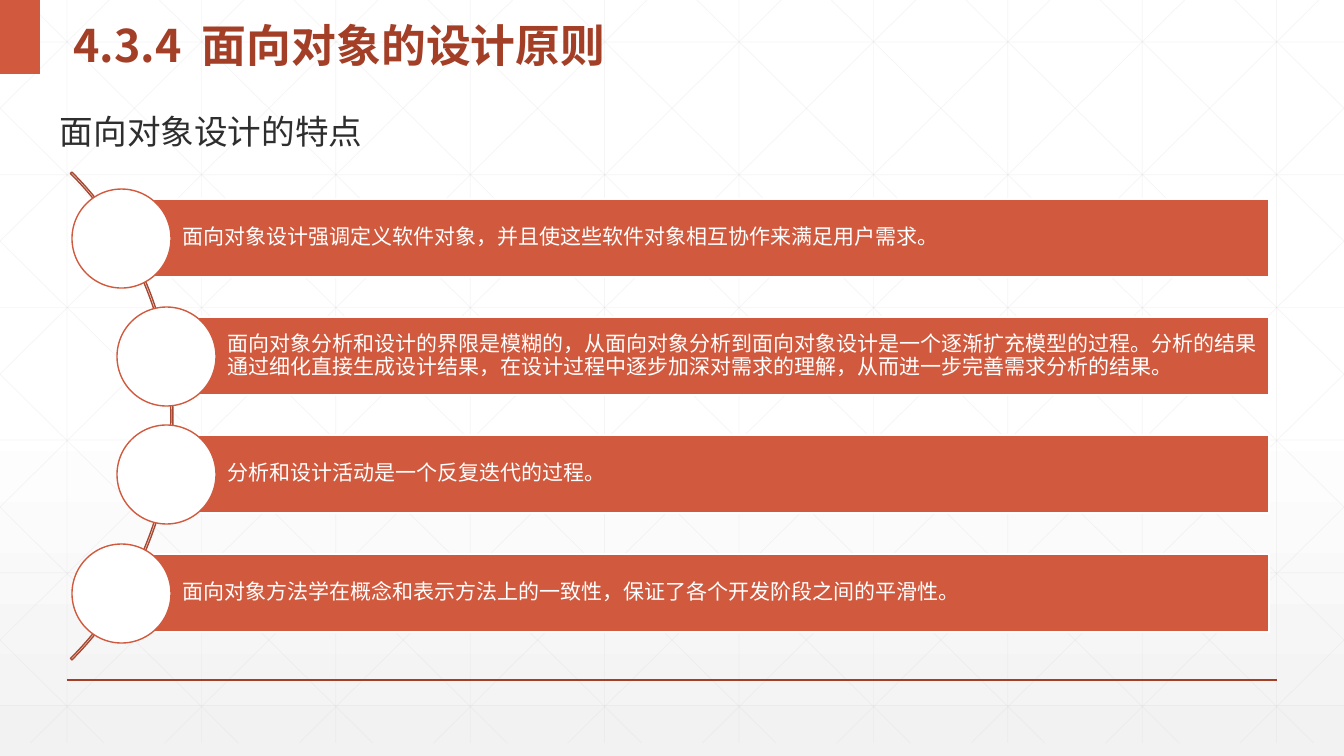
"""Build the slide on the traits of object-oriented design."""
from dataclasses import dataclass

from lxml import etree
from pptx import Presentation
from pptx.dml.color import RGBColor
from pptx.enum.shapes import MSO_CONNECTOR, MSO_SHAPE
from pptx.enum.text import MSO_ANCHOR, MSO_AUTO_SIZE, PP_ALIGN
from pptx.oxml.ns import qn
from pptx.util import Pt

RECT, OVAL, ARC = MSO_SHAPE.RECTANGLE, MSO_SHAPE.OVAL, MSO_SHAPE.BLOCK_ARC
STRAIGHT = MSO_CONNECTOR.STRAIGHT
TOP, MIDDLE, LEFT = MSO_ANCHOR.TOP, MSO_ANCHOR.MIDDLE, PP_ALIGN.LEFT
FIXED, GROW = MSO_AUTO_SIZE.NONE, MSO_AUTO_SIZE.SHAPE_TO_FIT_TEXT
W, H = 1344, 756
SCALE = 12192000 / W


@dataclass(frozen=True)
class Theme:
    accent: str = "D15A3E"
    dark: str = "A43F27"
    arc: str = "A74832"
    grid: str = "D9D9D9"
    ink: str = "2D2E2D"
    white: str = "FFFFFF"
    shade: str = "F2F2F2"
    latin: str = "Arial"
    cjk: str = "Noto Sans CJK SC"
    title: int = 32
    subtitle: int = 24
    body: int = 15


def px(n):
    return round(n * SCALE)


def rgb(color):
    return RGBColor.from_string(color)


def apply(obj, values):
    for name, value in values.items():
        setattr(obj, name, value)


class Deck:
    def __init__(self, prs, theme):
        self.theme = theme
        self.s = prs.slides.add_slide(prs.slide_layouts[5])

    def background(self):
        fill = self.s.background.fill
        fill.gradient()
        fill.gradient_angle = 270
        stops = ((0.53, self.theme.white), (1, self.theme.shade))
        for stop, (position, color) in zip(fill.gradient_stops, stops):
            stop.position = position
            stop.color.rgb = rgb(color)

    def line(self, start, end, color, width, alpha=None):
        sp = self.s.shapes.add_connector(STRAIGHT, *map(px, (*start, *end)))
        apply(sp.line, {"width": Pt(width)})
        sp.line.color.rgb = rgb(color)
        if alpha:
            clr = next(sp.element.spPr.iter(qn("a:srgbClr")))
            etree.SubElement(clr, qn("a:alpha"), val=str(alpha * 1000))
        etree.SubElement(sp.element.spPr, qn("a:effectLst"))

    def shape(self, kind, box, fill=None, line=None, adjust=()):
        sp = self.s.shapes.add_shape(kind, *map(px, box))
        sp.shadow.inherit = False
        for i, value in enumerate(adjust):
            sp.adjustments[i] = value
        if fill:
            sp.fill.solid()
            sp.fill.fore_color.rgb = rgb(fill)
        else:
            sp.fill.background()
        if line:
            sp.line.color.rgb = rgb(line)
            sp.line.width = Pt(1)
        else:
            sp.line.fill.background()
        return sp

    def text(self, sp, words, size, color, font, bold=False, spacing=None, **frame):
        tf = sp.text_frame
        apply(tf, {"vertical_anchor": MIDDLE, "auto_size": FIXED, "word_wrap": True, **frame})
        p = tf.paragraphs[0]
        apply(p, {"alignment": LEFT, "line_spacing": spacing})
        r = p.add_run()
        r.text = words
        apply(r.font, {"size": Pt(size), "name": font, "bold": bold})
        r.font.color.rgb = rgb(color)
        etree.SubElement(r.font._element, qn("a:ea"), typeface=self.theme.cjk)

    def title(self, box, words):
        sp = self.s.shapes.title
        sp.element.getparent().append(sp.element)
        apply(sp, dict(zip(("left", "top", "width", "height"), map(px, box))))
        t = self.theme
        self.text(sp, words, t.title, t.dark, t.cjk, bold=True, spacing=1.3)

    def subtitle(self, box, words):
        sp = self.s.shapes.add_textbox(*map(px, box))
        t = self.theme
        self.text(sp, words, t.subtitle, t.ink, t.latin,
                  vertical_anchor=TOP, auto_size=GROW, word_wrap=False)

    def grid(self):
        bottom, step, run = 743, W / 10, 751
        slope = bottom / run
        lines = []
        for i in range(10):
            x = 67 + step * i
            lines.append(((x, 0), (x, bottom)))
        for i in range(6):
            y = 42 + 132.7 * i
            lines.append(((0, y), (W, y)))
        for i in range(-5, 10):
            x = 25 + step * i
            x1, x2 = max(x, 0), min(x + run, W)
            y1, y2 = (x1 - x) * slope, (x2 - x) * slope
            lines.append(((x1, y1), (x2, y2)))
            lines.append(((W - x1, y1), (W - x2, y2)))
        for start, end in lines:
            self.line(start, end, self.theme.grid, 0.5, alpha=25)

    def feature(self, left, top, words):
        t = self.theme
        sp = self.shape(RECT, (left, top, 1269 - left, 78), t.accent, t.white)
        margins = {f"margin_{side}": px(4) for side in ("top", "right", "bottom")}
        self.text(sp, words, t.body, t.white, t.latin, spacing=0.9,
                  margin_left=px(62), **margins)
        self.shape(OVAL, (left - 49, top - 10, 99, 99), t.white, t.accent)


FEATURES = (
    (121, "面向对象设计强调定义软件对象，并且使这些软件对象相互协作来满足用户需求。"),
    (166, "面向对象分析和设计的界限是模糊的，从面向对象分析到面向对象设计是一个逐渐扩充模型的过程。"
          "分析的结果通过细化直接生成设计结果，在设计过程中逐步加深对需求的理解，从而进一步完善需求分析的结果。"),
    (166, "分析和设计活动是一个反复迭代的过程。"),
    (121, "面向对象方法学在概念和表示方法上的一致性，保证了各个开发阶段之间的平滑性。"),
)


def main():
    prs = Presentation()
    apply(prs, {"slide_width": px(W), "slide_height": px(H)})
    theme = Theme()
    deck = Deck(prs, theme)
    deck.background()
    deck.grid()
    deck.line((67, 680), (1277, 680), theme.dark, 1)
    deck.shape(RECT, (0, 0, 40, 74), theme.accent)
    deck.title((63, 0, 574, 74), "4.3.4  面向对象的设计原则")
    deck.shape(ARC, (-517, 71, 690, 690), line=theme.arc, adjust=(189, 27, 0.003))
    for i, (left, words) in enumerate(FEATURES):
        deck.feature(left, 199 + 355 * i // 3, words)
    deck.subtitle((50, 106, 326, 50), "面向对象设计的特点")
    prs.save("out.pptx")


if __name__ == "__main__":
    main()
